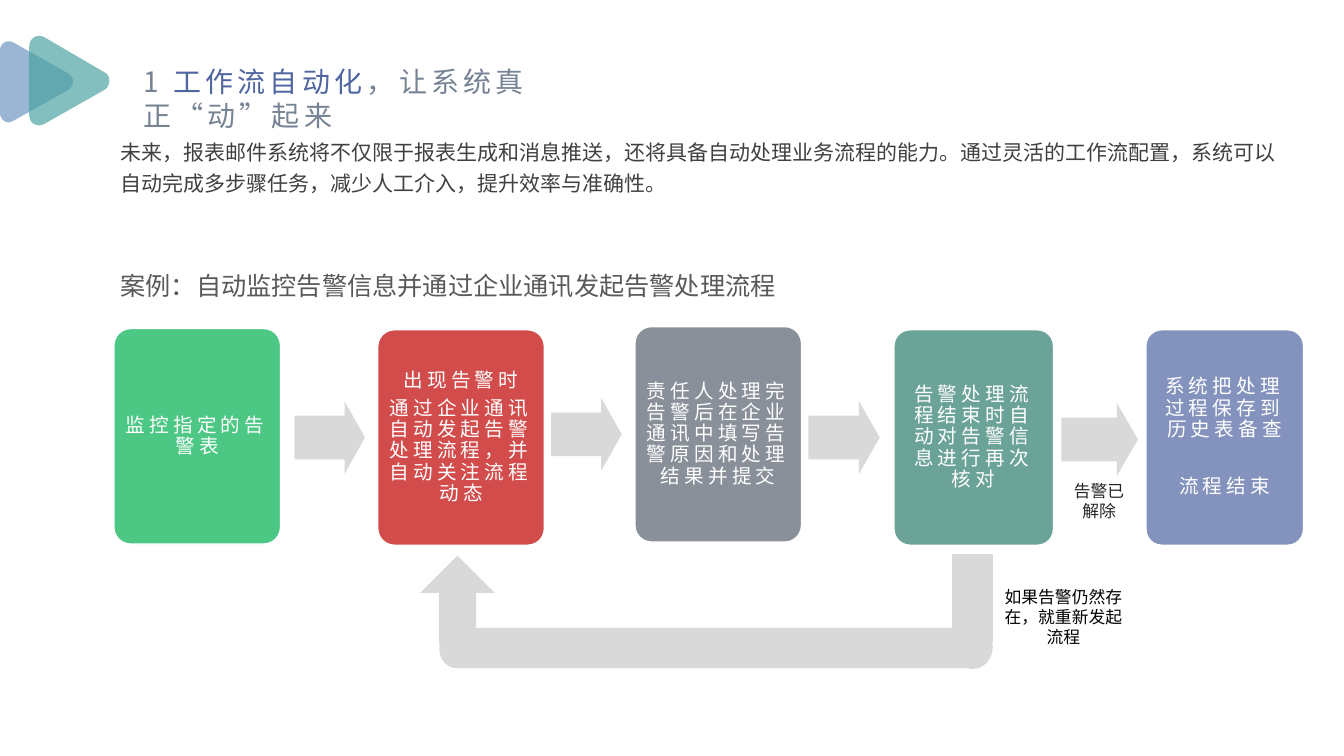
"""Build the workflow automation slide with its alarm handling flow chart."""
from lxml.etree import SubElement
from pptx import Presentation
from pptx.dml.color import RGBColor
from pptx.enum.shapes import MSO_SHAPE as SHAPE
from pptx.enum.text import MSO_ANCHOR as ANCHOR, MSO_AUTO_SIZE as AUTO, PP_ALIGN as ALIGN
from pptx.oxml.ns import qn
from pptx.util import Cm, Pt

FONT = "Noto Sans CJK SC"
GREY = "D9D9D9"


def paint(shape, color, alpha=None, line=None):
    shape.shadow.inherit = False
    shape.fill.solid()
    shape.fill.fore_color.rgb = RGBColor.from_string(color)
    if alpha:
        clr = shape._element.spPr.find(qn("a:solidFill"))[0]
        SubElement(clr, qn("a:alpha"), val=str(alpha * 1000))
    if line:
        shape.line.color.rgb = RGBColor.from_string(line)
        shape.line.width = Pt(1)
    else:
        shape.line.fill.background()


def style(p, size, color, align=ALIGN.LEFT, spacing=1.0, spc=0):
    p.alignment = align
    p.line_spacing = spacing
    p.font.size = Pt(size)
    p.font.color.rgb = RGBColor.from_string(color)
    p.font.name = FONT
    rpr = p._p.pPr.find(qn("a:defRPr"))
    rpr.set("spc", str(spc * 100))
    SubElement(rpr, qn("a:ea"), typeface=FONT)


prs = Presentation()
prs.slide_width, prs.slide_height = Cm(33.87), Cm(19.05)
s = prs.slides.add_slide(prs.slide_layouts[5])

title = s.shapes.title
title.left, title.top, title.width, title.height = Cm(3.35), Cm(1.5), Cm(10.9), Cm(2)
tf = title.text_frame
tf.word_wrap = True
tf.auto_size = AUTO.NONE
tf.vertical_anchor = ANCHOR.TOP
p = tf.paragraphs[0]
style(p, 20, "768394", spc=3)
for text, color in [("1 ", "768394"), ("工作流自动化", "5066A1"),
                    ("，让系统真正“动”起来", "768394")]:
    r = p.add_run()
    r.text = text
    r.font.color.rgb = RGBColor.from_string(color)

triangles = [
    ("6C92C0", [[(0.13, 0.42), (0.07, 0.39), (0, 0.43), (0, 0.5)],
                [(0, 1.12), (0, 1.19), (0.07, 1.24), (0.13, 1.2)],
                [(0.68, 0.89), (0.74, 0.85), (0.74, 0.77), (0.68, 0.73)]]),
    ("48A2A0", [[(0.44, 0.37), (0.37, 0.33), (0.29, 0.38), (0.29, 0.46)],
                [(0.29, 1.15), (0.29, 1.22), (0.37, 1.27), (0.44, 1.23)],
                [(1.04, 0.89), (1.1, 0.85), (1.1, 0.75), (1.04, 0.72)]]),
]
for color, corners in triangles:
    points = []
    for curve in corners:
        for t in [i / 8 for i in range(9)]:
            weights = [(1 - t) ** 3, 3 * t * (1 - t) ** 2, 3 * t * t * (1 - t), t ** 3]
            points.append([Cm(2.54 * sum(w * pt[axis] for w, pt in zip(weights, curve)))
                           for axis in (0, 1)])
    builder = s.shapes.build_freeform(*points[0])
    builder.add_line_segments(points[1:], close=True)
    paint(builder.convert_to_shape(), color, 68)

labels = [
    (2.79, 3.23, 30.05, 1.85, 15, "404040", ALIGN.LEFT, 1.25,
     "未来，报表邮件系统将不仅限于报表生成和消息推送，还将具备自动处理业务流程的能力。"
     "通过灵活的工作流配置，系统可以自动完成多步骤任务，减少人工介入，提升效率与准确性。"),
    (2.79, 6.68, 17.58, 1.02, 18, "595959", ALIGN.LEFT, 1.0,
     "案例：自动监控告警信息并通过企业通讯发起告警处理流程"),
    (26.67, 11.99, 2.06, 1.8, 12, "262626", ALIGN.CENTER, 1.0, "告警已解除"),
    (24.87, 14.66, 3.86, 1.8, 12, "000000", ALIGN.CENTER, 1.0,
     "如果告警仍然存在，就重新发起流程"),
]
for x, y, w, h, size, color, align, spacing, text in labels:
    tf = s.shapes.add_textbox(Cm(x), Cm(y), Cm(w), Cm(h)).text_frame
    tf.word_wrap = True
    tf.text = text
    style(tf.paragraphs[0], size, color, align, spacing)

steps = [
    (2.87, 8.28, 4.2, "00B050", 0, ["监控指定的告警表"]),
    (9.52, 8.31, 4.2, "C00000", 0,
     ["出现告警时", "通过企业通讯自动发起告警处理流程，并自动关注流程动态"]),
    (16, 8.23, 4.2, "576270", 0,
     ["责任人处理完告警后在企业通讯中填写告警原因和处理结果并提交"]),
    (22.53, 8.31, 4.02, "2F7C6D", 0, ["告警处理流程结束时自动对告警信息进行再次核对"]),
    (28.88, 8.31, 3.97, "5066A1", 21, ["系统把处理过程保存到历史表备查", "流程结束"]),
]
for x, y, w, color, gap, texts in steps:
    sp = s.shapes.add_shape(SHAPE.ROUNDED_RECTANGLE, Cm(x), Cm(y), Cm(w), Cm(5.43))
    sp.adjustments[0] = 0.1
    paint(sp, color, 70, "FFFFFF")
    tf = sp.text_frame
    tf.word_wrap = True
    tf.vertical_anchor = ANCHOR.MIDDLE
    tf.margin_left = tf.margin_right = tf.margin_top = tf.margin_bottom = Cm(0.16)
    tf.text = "\n".join(texts)
    for i, p in enumerate(tf.paragraphs):
        if i:
            p.space_before = Pt(gap)
        p.space_after = Pt(5)
        style(p, 14, "FFFFFF", ALIGN.CENTER, 0.9, 3)

for x, y, w in [(7.42, 10.11, 1.78), (13.89, 10.03, 1.78),
                (20.37, 10.11, 1.8), (26.75, 10.16, 1.93)]:
    sp = s.shapes.add_shape(SHAPE.RIGHT_ARROW, Cm(x), Cm(y), Cm(w), Cm(1.83))
    sp.adjustments[0], sp.adjustments[1] = 0.6, 0.29
    paint(sp, GREY)

loop_back = [
    (SHAPE.RECTANGLE, 11.56, 15.82, 12.98, 1.02),
    (SHAPE.FLOWCHART_CONNECTOR, 24, 15.77, 1.02, 1.09),
    (SHAPE.FLOWCHART_PROCESS, 24, 13.97, 1.02, 2.24),
    (SHAPE.FLOWCHART_CONNECTOR, 11.07, 15.85, 0.89, 0.99),
    (SHAPE.UP_ARROW, 10.59, 14, 1.88, 2.24),
]
for kind, *box in loop_back:
    paint(s.shapes.add_shape(kind, *map(Cm, box)), GREY)

prs.save("out.pptx")
